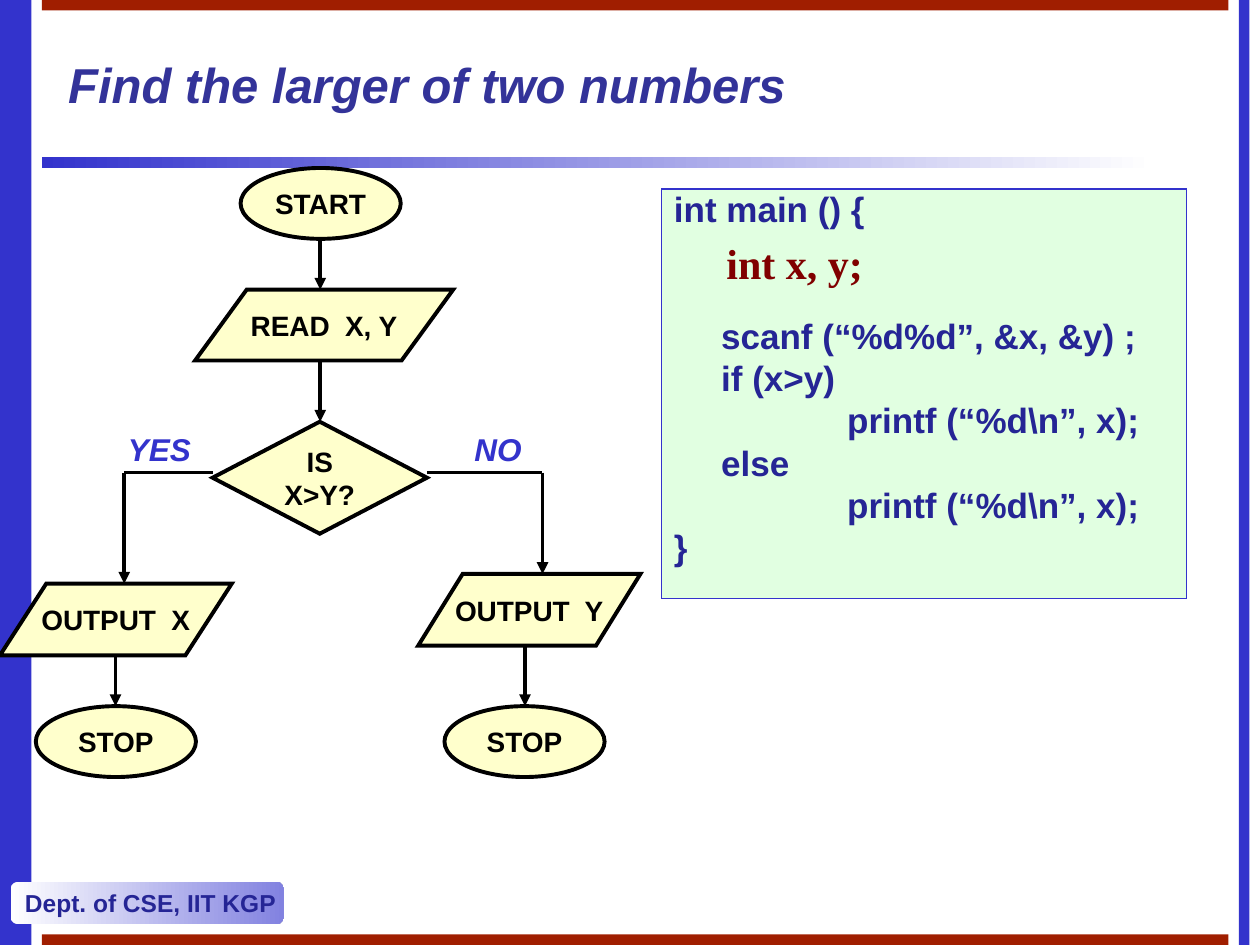
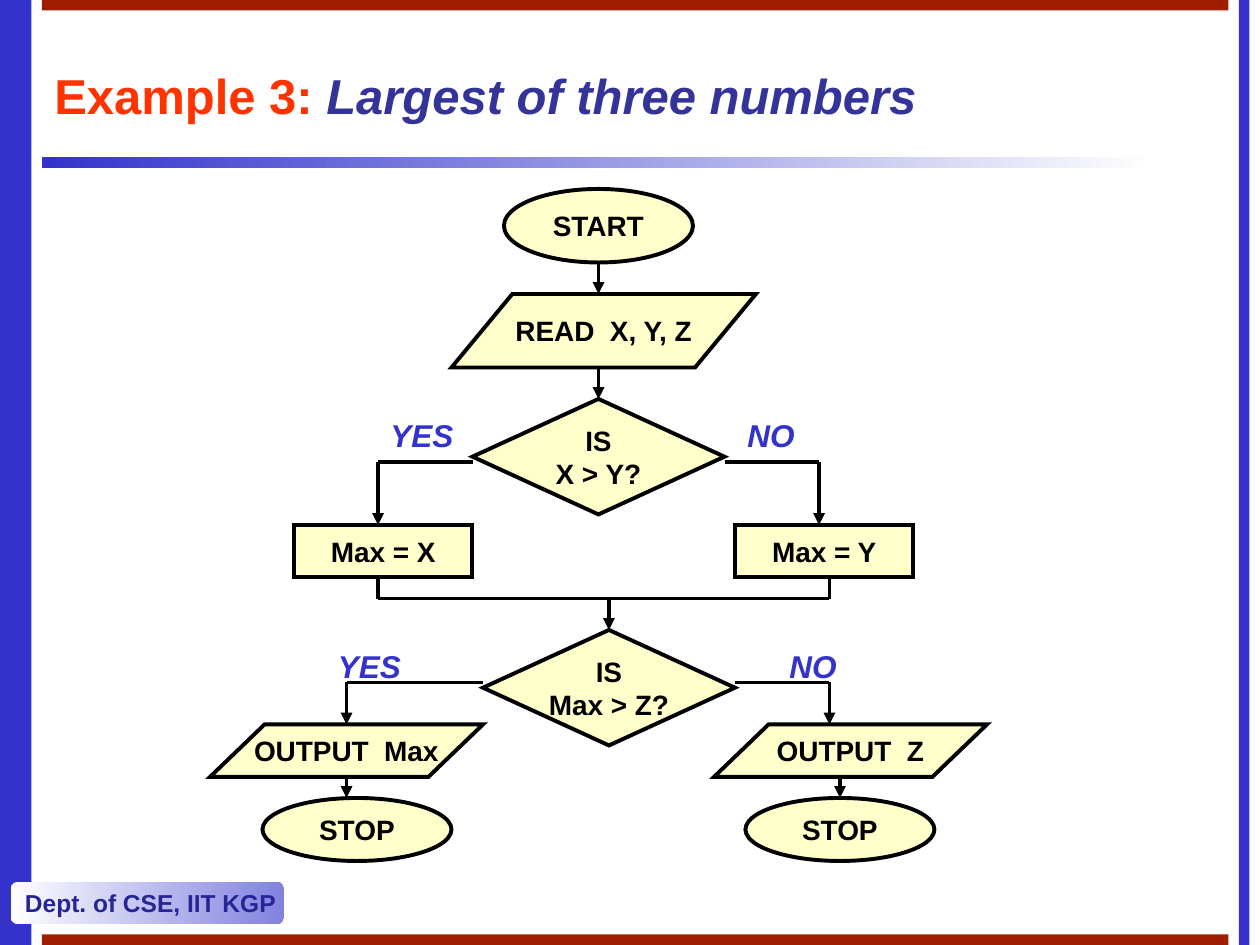
from lxml import etree
from pptx import Presentation
from pptx.dml.color import RGBColor
from pptx.enum.shapes import MSO_CONNECTOR, MSO_SHAPE as SHAPE
from pptx.enum.text import MSO_ANCHOR as ANCHOR, PP_ALIGN as ALIGN
from pptx.oxml.ns import qn
from pptx.util import Pt

# ---- Shared look ----
BLUE, RED, NAVY, INDIGO = "3333CC", "A01E00", "252595", "333399"
ORANGE, MAROON, CREAM, MINT = "FF3300", "800000", "FFFFCC", "E1FFE1"
BLACK, WHITE, LILAC = "000000", "FFFFFF", "8282E0"
WIDTH, HEIGHT, LINE = 720, 540, 2.24
FOOTER = "Dept. of CSE, IIT KGP"
BANDS = [  # box, fill
    ((0, 0, 18, HEIGHT), BLUE),
    ((24, 90, 636, 6), (BLUE, WHITE)),
    ((708, 0, 6, HEIGHT), BLUE),
    ((24, 0, 678, 6), RED),
    ((24, 534, 678, 6), RED),
]
OVAL, RECT = SHAPE.OVAL, SHAPE.RECTANGLE
DATA, DECISION = SHAPE.FLOWCHART_DATA, SHAPE.FLOWCHART_DECISION

# ---- Content ----
# nodes: key -> kind, text, box; drops: source, target, x
# branches: decision, target, x, y; merges: sources with x, target, x, y
TWO_NUMBERS = {
    "title": [("Find the larger of two numbers", INDIGO, True)],
    "title_box": (24, 12, 612, 72),
    "title_indent": 7.8,
    "nodes": {
        "start": (OVAL, "START", (137.5, 96, 91.5, 40.5)),
        "read": (DATA, "READ  X, Y", (111.5, 165.5, 147.5, 40.5)),
        "compare": (DECISION, "IS\nX>Y?", (121.5, 241, 122.5, 64)),
        "output x": (DATA, "OUTPUT  X", (0, 333.5, 132.5, 41)),
        "output y": (DATA, "OUTPUT  Y", (239, 328, 127, 41)),
        "stop x": (OVAL, "STOP", (20.5, 403.5, 91.5, 40.5)),
        "stop y": (OVAL, "STOP", (254, 403.5, 91.5, 40.5)),
    },
    "drops": [("start", "read", 183), ("read", "compare", 183),
              ("output x", "stop x", 66), ("output y", "stop y", 300)],
    "branches": [("compare", "output x", 71, 270),
                 ("compare", "output y", 310, 270)],
    "merges": [],
    "labels": [("YES", 66, 242), ("NO", 264, 242)],
}
THREE_NUMBERS = {
    "title": [("Example 3: ", ORANGE, False),
              ("Largest of three numbers", INDIGO, True)],
    "title_box": (24, 24, 612, 60),
    "title_indent": 0,
    "nodes": {
        "start": (OVAL, "START", (288, 108, 108, 42)),
        "read": (DATA, "READ  X, Y, Z", (258, 168, 174, 42)),
        "compare": (DECISION, "IS\nX > Y?", (270, 228, 144, 66)),
        "max x": (RECT, "Max = X", (168, 300, 102, 30)),
        "max y": (RECT, "Max = Y", (420, 300, 102, 30)),
        "compare z": (DECISION, "IS\nMax > Z?", (276, 360, 144, 66)),
        "output max": (DATA, "OUTPUT  Max", (120, 414, 156, 30)),
        "output z": (DATA, "OUTPUT  Z", (408, 414, 156, 30)),
        "stop max": (OVAL, "STOP", (150, 456, 108, 36)),
        "stop z": (OVAL, "STOP", (426, 456, 108, 36)),
    },
    "drops": [("start", "read", 342), ("read", "compare", 342),
              ("output max", "stop max", 198), ("output z", "stop z", 480)],
    "branches": [("compare", "max x", 216, 264), ("compare", "max y", 468, 264),
                 ("compare z", "output max", 198, 390),
                 ("compare z", "output z", 474, 390)],
    "merges": [([("max x", 216), ("max y", 474)], "compare z", 348, 342)],
    "labels": [("YES", 216, 234), ("YES", 186, 366),
               ("NO", 420, 234), ("NO", 444, 366)],
}
CODE = [  # text, indent level, blank lines above
    ("int main () {", 0, 0),
    ("scanf (“%d%d”, &x, &y) ;", 1, 2),
    ("if (x>y)", 1, 0),
    ("printf (“%d\\n”, x);", 2, 0),
    ("else", 1, 0),
    ("printf (“%d\\n”, x);", 2, 0),
    ("}", 0, 0),
]
CODE_INDENTS = (0, 27, 99)
CODE_GAP, CODE_PITCH = 5, 24.2


# ---- Drawing helpers ----
def color(value):
    return RGBColor.from_string(value)


def points(values):
    return [Pt(value) for value in values]


def style(run, size, ink, italic=False, font="Arial"):
    run.font.name, run.font.size = font, Pt(size)
    run.font.bold, run.font.italic = True, italic
    run.font.color.rgb = color(ink)


def write(shape, text, size, ink, align=ALIGN.LEFT, anchor=ANCHOR.TOP,
          wrap=False, **font):
    frame = shape.text_frame
    frame.text = text
    frame.word_wrap, frame.vertical_anchor = wrap, anchor
    for paragraph in frame.paragraphs:
        paragraph.alignment = align
        for run in paragraph.runs:
            style(run, size, ink, **font)


def add_box(slide, kind, box, fill, line=None, weight=LINE):
    shape = slide.shapes.add_shape(kind, *points(box))
    shape.shadow.inherit = False
    if isinstance(fill, tuple):
        shape.fill.gradient()
        shape.fill.gradient_angle = 0
        for stop, value, position in zip(shape.fill.gradient_stops, fill, (0, 1)):
            stop.color.rgb, stop.position = color(value), position
    else:
        shape.fill.solid()
        shape.fill.fore_color.rgb = color(fill)
    if line:
        shape.line.color.rgb, shape.line.width = color(line), Pt(weight)
        outline = shape._element.spPr.find(qn("a:ln"))
        etree.SubElement(outline, qn("a:miter"), lim="800000")
    else:
        shape.line.fill.background()
    return shape


def add_path(slide, corners, arrow=True):
    """Straight lines through the corners, with an arrowhead on the last."""
    for begin, end in zip(corners, corners[1:]):
        line = slide.shapes.add_connector(
            MSO_CONNECTOR.STRAIGHT, *points(begin + end))
        line.line.color.rgb, line.line.width = color(BLACK), Pt(LINE)
        properties = line._element.spPr
        etree.SubElement(properties, qn("a:effectLst"))
        if arrow and end == corners[-1]:
            outline = properties.find(qn("a:ln"))
            etree.SubElement(outline, qn("a:tailEnd"), type="triangle")


# ---- Slide parts ----
def add_base(slide, content):
    for box, fill in BANDS:
        add_box(slide, RECT, box, fill)
    footer = add_box(slide, SHAPE.ROUNDED_RECTANGLE, (6, 504, 156, 24), (WHITE, LILAC))
    write(footer, FOOTER, 14, NAVY, anchor=ANCHOR.MIDDLE)

    frame = slide.shapes.add_textbox(*points(content["title_box"])).text_frame
    frame.word_wrap, frame.vertical_anchor = True, ANCHOR.MIDDLE
    frame.margin_left = Pt(7.2 + content["title_indent"])
    for text, ink, italic in content["title"]:
        run = frame.paragraphs[0].add_run()
        run.text = text
        style(run, 28, ink, italic)


def add_flowchart(slide, content):
    nodes = content["nodes"]
    for kind, text, box in nodes.values():
        shape = add_box(slide, kind, box, CREAM, BLACK)
        write(shape, text, 16, BLACK, ALIGN.CENTER, ANCHOR.MIDDLE)

    def top(key):
        return nodes[key][2][1]

    def bottom(key):
        return top(key) + nodes[key][2][3]

    for source, target, x in content["drops"]:
        add_path(slide, [(x, bottom(source)), (x, top(target))])
    for source, target, x, y in content["branches"]:
        left, _, width, _ = nodes[source][2]
        side = left if x < left else left + width
        add_path(slide, [(side, y), (x, y), (x, top(target))])
    for sources, target, x, y in content["merges"]:
        for source, source_x in sources:
            add_path(slide, [(source_x, bottom(source)), (source_x, y), (x, y)], arrow=False)
        add_path(slide, [(x, y), (x, top(target))])
    for text, left, y in content["labels"]:
        label = slide.shapes.add_textbox(*points((left, y, 78, 29)))
        write(label, text, 18, BLUE, wrap=True, italic=True)


def add_code(slide):
    panel = add_box(slide, RECT, (378, 108, 300, 234), MINT, BLUE, 0.75)
    write(panel, "\n".join(text for text, _, _ in CODE), 20, NAVY, wrap=True)
    for paragraph, (_, level, blanks) in zip(panel.text_frame.paragraphs, CODE):
        paragraph.line_spacing = 0.8
        paragraph.space_before = Pt(CODE_GAP + blanks * CODE_PITCH)
        paragraph._p.get_or_add_pPr().set("marL", str(Pt(CODE_INDENTS[level])))
    declaration = slide.shapes.add_textbox(*points((408, 132, 110, 36)))
    write(declaration, "int x, y;", 24, MAROON, wrap=True, font="Times New Roman")


# ---- Build ----
presentation = Presentation()
presentation.slide_width, presentation.slide_height = Pt(WIDTH), Pt(HEIGHT)
for content in (TWO_NUMBERS, THREE_NUMBERS):
    slide = presentation.slides.add_slide(presentation.slide_layouts[6])
    add_base(slide, content)
    add_flowchart(slide, content)
    if content is TWO_NUMBERS:
        add_code(slide)
presentation.save("out.pptx")
